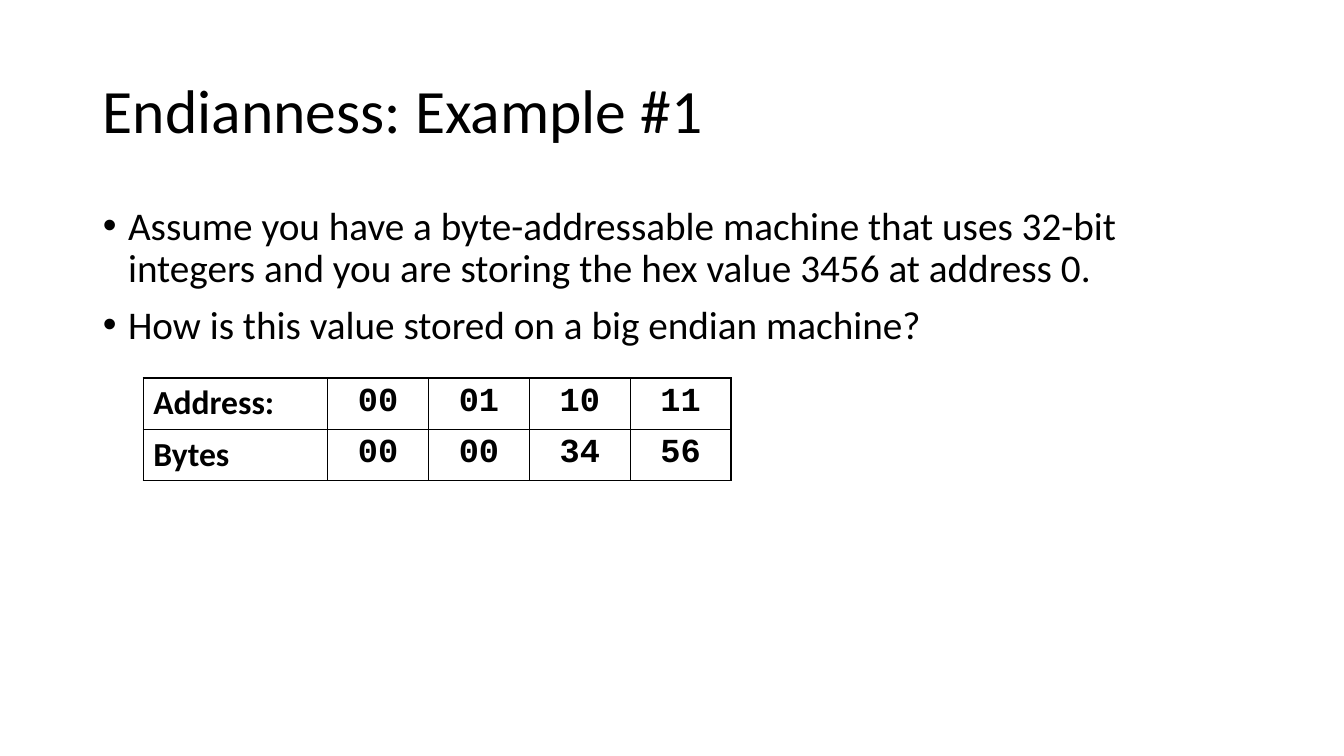
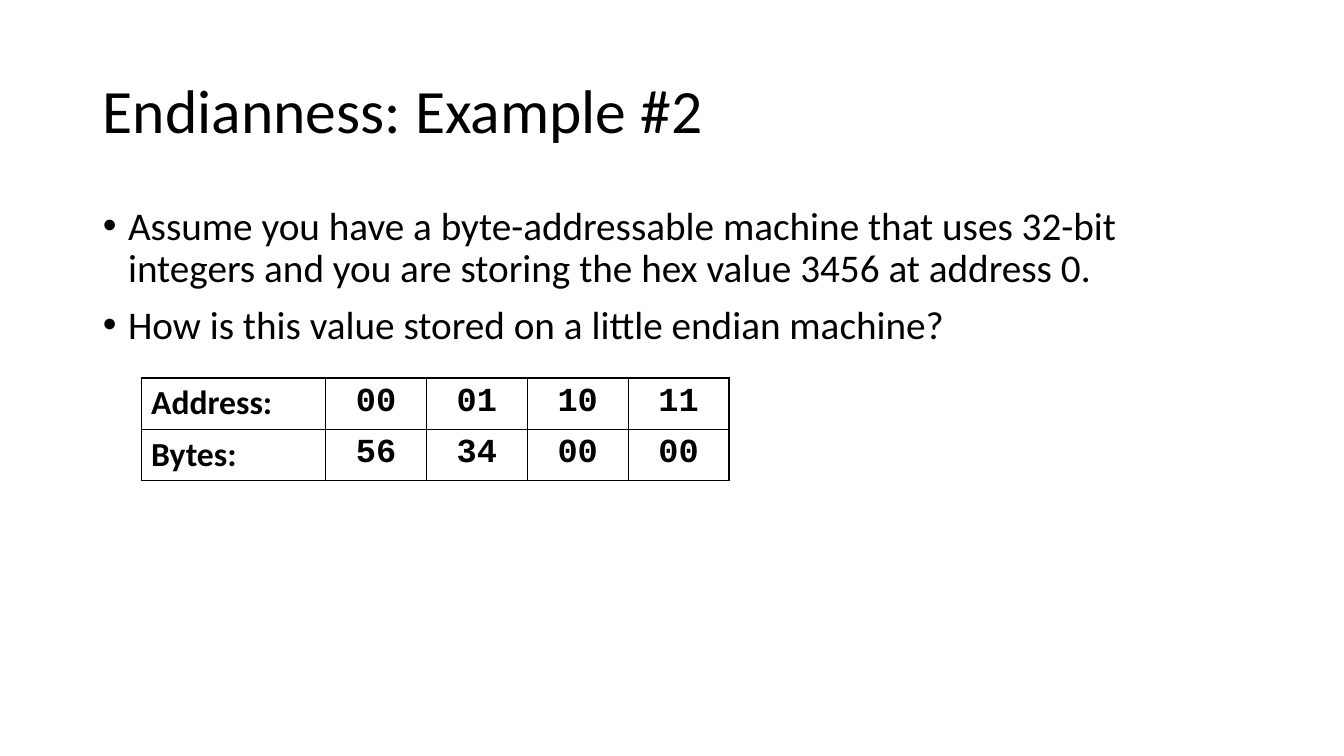
from lxml import etree
from pptx import Presentation
from pptx.dml.color import RGBColor
from pptx.enum.text import MSO_ANCHOR, MSO_AUTO_SIZE, PP_ALIGN
from pptx.oxml.ns import qn
from pptx.util import Inches, Pt

LEFT, CENTER = PP_ALIGN.LEFT, PP_ALIGN.CENTER
TOP, MIDDLE = MSO_ANCHOR.TOP, MSO_ANCHOR.MIDDLE
NO_AUTOFIT = MSO_AUTO_SIZE.NONE

# Shared look
BLACK = "000000"
TEXT_FONT, CODE_FONT = "Calibri", "Courier New"
TITLE_FORMAT = {"name": TEXT_FONT, "size": Pt(44), "bold": False}
BODY_FORMAT = {"name": TEXT_FONT, "size": Pt(28), "bold": False}
LABEL_FORMAT = {"name": TEXT_FONT, "size": Pt(24), "bold": True}
BYTE_FORMAT = {**LABEL_FORMAT, "name": CODE_FONT}
TITLE_BOX = (0.92, 0.4, 11.5, 1.45)
BODY_BOX = (0.92, 2, 11.5, 4.76)
TABLE_TOP, ROW_HEIGHT = 3.75, 0.5
COLUMN_WIDTHS = (1.83, 1, 1, 1, 1)

# Slide content
ASSUMPTION = ("Assume you have a byte-addressable machine that uses 32-bit "
              "integers and you are storing the hex value 3456 at address 0.")
ADDRESS_ROW = ("Address:", "00", "01", "10", "11")
EXAMPLES = (
    ("Endianness: Example #1", "How is this value stored on a big endian machine?",
     1.42, ("Bytes", "00", "00", "34", "56")),
    ("Endianness: Example #2", "How is this value stored on a little endian machine?",
     1.4, ("Bytes:", "56", "34", "00", "00")),
)


def rgb(hex_color):
    return RGBColor.from_string(hex_color)


def format_paragraph(paragraph, font_format, alignment=LEFT):
    paragraph.alignment = alignment
    for font in (paragraph.font, *(run.font for run in paragraph.runs)):
        for attribute, value in font_format.items():
            setattr(font, attribute, value)
        font.color.rgb = rgb(BLACK)


def place(shape, box, anchor):
    shape.left, shape.top, shape.width, shape.height = map(Inches, box)
    shape.text_frame.auto_size = NO_AUTOFIT
    shape.text_frame.word_wrap = True
    shape.text_frame.vertical_anchor = anchor


def add_bullet(paragraph):
    properties = paragraph._p.get_or_add_pPr()
    properties.set("marL", str(Inches(0.25)))
    properties.set("indent", str(Inches(-0.25)))
    etree.SubElement(properties, qn("a:buFont"), typeface="Arial")
    etree.SubElement(properties, qn("a:buChar"), char="•")


def set_title(slide, text):
    title = slide.shapes.title
    place(title, TITLE_BOX, MIDDLE)
    title.text_frame.text = text
    paragraph = title.text_frame.paragraphs[0]
    paragraph.line_spacing = 0.9
    format_paragraph(paragraph, TITLE_FORMAT)


def set_bullets(slide, texts):
    body = slide.placeholders[1]
    place(body, BODY_BOX, TOP)
    body.text_frame.text = "\n".join(texts)
    for index, paragraph in enumerate(body.text_frame.paragraphs):
        add_bullet(paragraph)
        paragraph.line_spacing = 0.9
        paragraph.space_before = Pt(10 if index else 0)
        format_paragraph(paragraph, BODY_FORMAT)


def add_borders(cell):
    properties = cell._tc.get_or_add_tcPr()
    for index, side in enumerate(("lnL", "lnR", "lnT", "lnB")):
        line = etree.Element(qn(f"a:{side}"), w=str(Pt(1)))
        fill = etree.SubElement(line, qn("a:solidFill"))
        etree.SubElement(fill, qn("a:srgbClr"), val=BLACK)
        properties.insert(index, line)


def add_byte_table(slide, left, rows):
    table = slide.shapes.add_table(
        len(rows), len(COLUMN_WIDTHS), Inches(left), Inches(TABLE_TOP),
        Inches(sum(COLUMN_WIDTHS)), Inches(ROW_HEIGHT * len(rows))).table
    table.first_row = table.horz_banding = False
    for column, width in zip(table.columns, COLUMN_WIDTHS):
        column.width = Inches(width)
    for row_index, row in enumerate(rows):
        for column_index, text in enumerate(row):
            cell = table.cell(row_index, column_index)
            cell.text = text
            cell.fill.background()
            add_borders(cell)
            style = (BYTE_FORMAT, CENTER) if column_index else (LABEL_FORMAT, LEFT)
            format_paragraph(cell.text_frame.paragraphs[0], *style)


def main():
    presentation = Presentation()
    presentation.slide_width = Inches(13.33)
    presentation.slide_height = Inches(7.5)
    for title, question, table_left, byte_row in EXAMPLES:
        slide = presentation.slides.add_slide(presentation.slide_layouts[1])
        set_title(slide, title)
        set_bullets(slide, (ASSUMPTION, question))
        add_byte_table(slide, table_left, (ADDRESS_ROW, byte_row))
    presentation.save("out.pptx")


if __name__ == "__main__":
    main()
